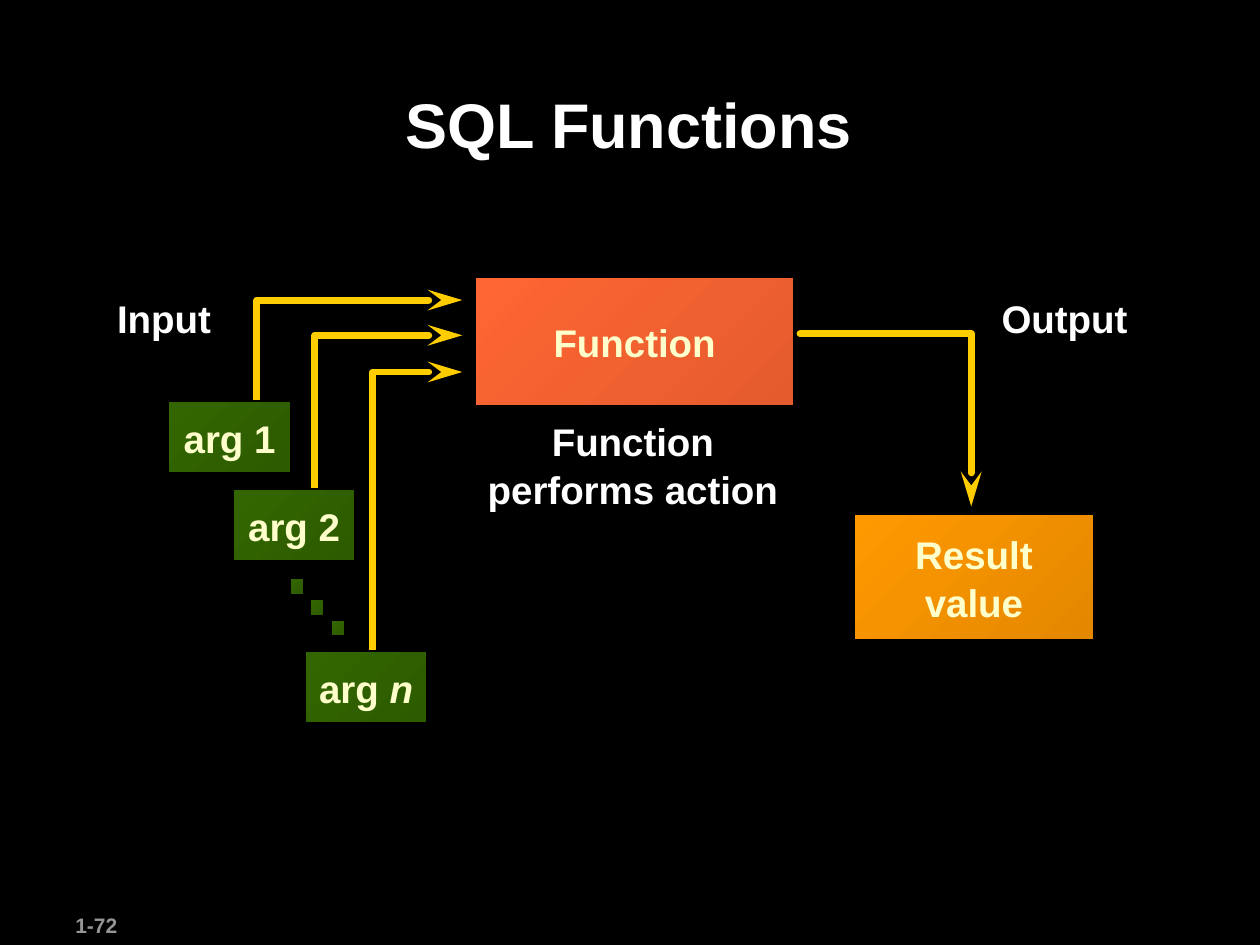
from dataclasses import dataclass
from typing import Any

from lxml.etree import SubElement as Sub
from pptx import Presentation
from pptx.dml.color import RGBColor as Rgb
from pptx.enum.shapes import MSO_SHAPE as Kind
from pptx.enum.text import MSO_ANCHOR as Anchor, PP_ALIGN as Align
from pptx.oxml.ns import qn
from pptx.util import Cm, Pt


@dataclass(frozen=True)
class Theme:
    font: str = "Arial"
    back: str = "000000"
    white: str = "FFFFFF"
    cream: str = "FFFFCC"
    grey: str = "969696"
    gold: str = "FFCC00"
    red: tuple[str, str] = ("E45B2D", "FF6633")
    green: tuple[str, str] = ("2D5B00", "336600")
    amber: tuple[str, str] = ("E48800", "FF9900")
    head: float = 36
    body: float = 22
    foot: float = 12
    edge: float = 1
    wire: float = 4


@dataclass(frozen=True)
class Area:
    left: float
    top: float
    width: float
    height: float

    def cm(self) -> list[Cm]:
        return [Cm(n) for n in (self.left, self.top, self.width, self.height)]


@dataclass(frozen=True)
class Label:
    text: str
    area: Area
    color: str
    size: float
    align: Align = Align.LEFT
    wrap: bool = False


@dataclass(frozen=True)
class Box:
    lines: tuple[str, ...]
    area: Area
    shades: tuple[str, str]
    slant: str = ""


T = Theme()


def apply(item: Any, values: dict[str, Any]) -> None:
    for name, value in values.items():
        setattr(item, name, value)


def style(para: Any, color: str, size: float, align: Align, gap: float = 1.04) -> None:
    apply(para, {"alignment": align, "line_spacing": gap})
    apply(para.font, {"name": T.font, "size": Pt(size), "bold": True})
    para.font.color.rgb = Rgb.from_string(color)


def add_label(slide: Any, label: Label) -> None:
    frame = slide.shapes.add_textbox(*label.area.cm()).text_frame
    frame.word_wrap = label.wrap
    frame.text = label.text
    style(frame.paragraphs[0], label.color, label.size, label.align)


def add_box(slide: Any, box: Box) -> None:
    """Draw a shaded box; the slant text follows the last line in italics."""
    shape = slide.shapes.add_shape(Kind.RECTANGLE, *box.area.cm())
    shape.shadow.inherit = False
    shape.fill.gradient()
    shape.fill.gradient_angle = 135
    for stop, shade in zip(shape.fill.gradient_stops, box.shades):
        stop.color.rgb = Rgb.from_string(shade)
    shape.line.color.rgb = Rgb.from_string(T.back)
    shape.line.width = Pt(T.edge)
    if not box.lines:
        return
    frame = shape.text_frame
    apply(frame, {"word_wrap": False, "vertical_anchor": Anchor.MIDDLE})
    frame.text = "\n".join(box.lines)
    for para in frame.paragraphs:
        style(para, T.cream, T.body, Align.CENTER)
    if box.slant:
        run = frame.paragraphs[-1].add_run()
        run.text = box.slant
        run.font.italic = True


def add_arrow(slide: Any, *points: tuple[float, float]) -> None:
    start, *rest = [(Cm(x), Cm(y)) for x, y in points]
    pen = slide.shapes.build_freeform(*start)
    pen.add_line_segments(rest, close=False)
    shape = pen.convert_to_shape()
    shape.shadow.inherit = False
    shape.fill.background()
    shape.line.color.rgb = Rgb.from_string(T.gold)
    shape.line.width = Pt(T.wire)
    line = shape.line._ln
    line.set("cap", "rnd")
    Sub(line, qn("a:round"))
    Sub(line, qn("a:tailEnd"), type="stealth", w="med", len="lg")


def add_title(slide: Any, text: str, area: Area) -> None:
    title = slide.shapes.title
    apply(title, dict(zip(("left", "top", "width", "height"), area.cm())))
    title.text_frame.text = text
    title.text_frame.vertical_anchor = Anchor.TOP
    style(title.text_frame.paragraphs[0], T.white, T.head, Align.CENTER, 1.08)


def add_args(slide: Any) -> None:
    """Draw the stepped arguments, their arrows and the dots between them."""
    spots = [("arg 1", "", 3.4, 8.08, 6.05),
             ("arg 2", "", 4.7, 9.86, 6.76),
             ("arg ", "n", 6.15, 13.13, 7.5)]
    for i, (text, slant, left, top, level) in enumerate(spots):
        x = 5.18 + 1.17 * i
        add_arrow(slide, (x, top + 0.2), (x, level), (9.32, level))
        add_box(slide, Box((text,), Area(left, top, 2.46, 1.45), T.green, slant))
    for i in range(3):
        step = 0.42 * i
        add_box(slide, Box((), Area(5.84 + step, 11.66 + step, 0.28, 0.33), T.green))


def main() -> None:
    deck = Presentation()
    apply(deck, {"slide_width": Cm(25.4), "slide_height": Cm(19.05)})
    slide = deck.slides.add_slide(deck.slide_layouts[5])
    slide.background.fill.solid()
    slide.background.fill.fore_color.rgb = Rgb.from_string(T.back)

    add_title(slide, "SQL Functions", Area(2.39, 1.47, 20.57, 2.44))
    add_box(slide, Box(("Function",), Area(9.58, 5.59, 6.43, 2.59), T.red))
    add_args(slide)
    add_arrow(slide, (16.13, 6.73), (19.58, 6.73), (19.58, 10.21))
    add_box(slide, Box(("Result", "value"), Area(17.22, 10.36, 4.83, 2.54), T.amber))
    labels = [
        Label("Input", Area(2.11, 5.79, 2.41, 1.19), T.white, T.body),
        Label("Output", Area(19.94, 5.79, 3.05, 1.19), T.white, T.body),
        Label("Function performs action", Area(9.14, 8.26, 7.24, 2.11),
              T.white, T.body, Align.CENTER, True),
        Label("1-72", Area(1.27, 18.26, 2.67, 0.76), T.grey, T.foot, wrap=True),
    ]
    for label in labels:
        add_label(slide, label)
    deck.save("out.pptx")


if __name__ == "__main__":
    main()
